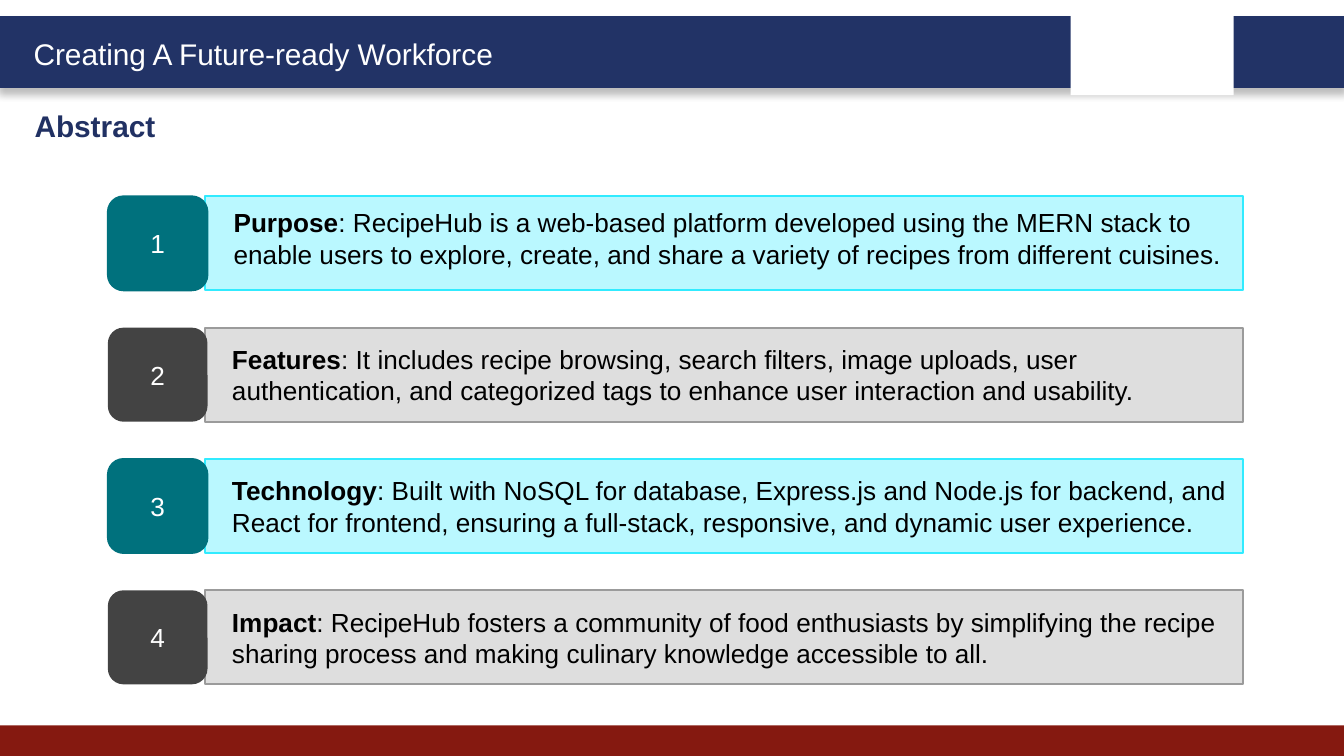
import dataclasses
import typing

import lxml.etree
import pptx
import pptx.dml.color
import pptx.enum.shapes
import pptx.enum.text
import pptx.oxml.ns
import pptx.util

Pt = pptx.util.Pt
Shapes = pptx.enum.shapes.MSO_SHAPE
Anchor = pptx.enum.text.MSO_ANCHOR
Align = pptx.enum.text.PP_ALIGN


@dataclasses.dataclass(frozen=True)
class Theme:
    font: str = "Arial"
    heading_size: float = 16
    body_size: float = 14
    white: str = "FFFFFF"
    black: str = "000000"
    banner: str = "223366"
    heading: str = "213163"
    footer: str = "851910"


@dataclasses.dataclass(frozen=True)
class Palette:
    card: str
    border: str
    badge: str
    badge_border: typing.Optional[str] = None


class Box(typing.NamedTuple):
    left: float
    top: float
    width: float
    height: float


class Topic(typing.NamedTuple):
    label: str
    detail: str
    text_box: typing.Optional[Box] = None


THEME = Theme()
TEAL = Palette("BAF8FF", "31EBFF", "00717D", "00717D")
GRAY = Palette("DEDEDE", "9B9B9B", "434343")
FIRST_TOP, PITCH, CARD_HEIGHT = 105.2, 70.35, 50.4
TOPICS = [
    Topic(
        "Purpose",
        ": RecipeHub is a web-based platform developed using the MERN stack to enable users "
        "to explore, create, and share a variety of recipes from different cuisines.",
        Box(118.1, 107.3, 552.2, 41),
    ),
    Topic(
        "Features",
        ": It includes recipe browsing, search filters, image uploads, user authentication, "
        "and categorized tags to enhance user interaction and usability.",
    ),
    Topic(
        "Technology",
        ": Built with NoSQL for database, Express.js and Node.js for backend, and React for "
        "frontend, ensuring a full-stack, responsive, and dynamic user experience.",
    ),
    Topic(
        "Impact",
        ": RecipeHub fosters a community of food enthusiasts by simplifying the recipe "
        "sharing process and making culinary knowledge accessible to all.",
    ),
]


def rgb(value: str) -> pptx.dml.color.RGBColor:
    return pptx.dml.color.RGBColor.from_string(value)


def style_run(run, size: float, color: str, bold: bool = False) -> None:
    run.font.name = THEME.font
    run.font.size = Pt(size)
    run.font.bold = bold
    run.font.color.rgb = rgb(color)


def add_block(slide, preset, box: Box, fill: str,
              border: typing.Optional[str] = None, border_width: float = 1):
    block = slide.shapes.add_shape(preset, *map(Pt, box))
    block.shadow.inherit = False
    block.fill.solid()
    block.fill.fore_color.rgb = rgb(fill)
    if border:
        block.line.color.rgb = rgb(border)
        block.line.width = Pt(border_width)
    else:
        block.line.fill.background()
    return block


def add_drop_shadow(block) -> None:
    effects = block._element.spPr.find(pptx.oxml.ns.qn("a:effectLst"))
    shadow = lxml.etree.SubElement(
        effects, pptx.oxml.ns.qn("a:outerShdw"),
        blurRad=str(Pt(4)), dist=str(Pt(3)), dir="5400000", algn="t", rotWithShape="0")
    color = lxml.etree.SubElement(shadow, pptx.oxml.ns.qn("a:srgbClr"), val=THEME.black)
    lxml.etree.SubElement(color, pptx.oxml.ns.qn("a:alpha"), val="25000")


def write_heading(heading, words: str, color: str, bold: bool = False) -> None:
    frame = heading.text_frame
    frame.text = words
    frame.word_wrap = True
    frame.vertical_anchor = Anchor.TOP
    frame.paragraphs[0].alignment = Align.LEFT
    style_run(frame.paragraphs[0].runs[0], THEME.heading_size, color, bold)


def write_topic(frame, topic: Topic, indent: float = 0) -> None:
    frame.word_wrap = True
    paragraph = frame.paragraphs[0]
    paragraph.alignment = Align.LEFT
    paragraph._p.get_or_add_pPr().set("marL", str(Pt(indent)))
    for words, bold in ((topic.label, True), (topic.detail, False)):
        run = paragraph.add_run()
        run.text = words
        style_run(run, THEME.body_size, THEME.black, bold)


def add_topic(slide, number: int, topic: Topic) -> None:
    palette = TEAL if number % 2 else GRAY
    top = FIRST_TOP + (number - 1) * PITCH
    card = add_block(slide, Shapes.RECTANGLE, Box(110, top, 556, CARD_HEIGHT),
                     palette.card, palette.border)
    badge = add_block(slide, Shapes.ROUNDED_RECTANGLE, Box(57.8, top, 53.4, CARD_HEIGHT),
                      palette.badge, palette.badge_border)
    badge.text_frame.text = str(number)
    badge.text_frame.vertical_anchor = Anchor.MIDDLE
    badge.text_frame.paragraphs[0].alignment = Align.CENTER
    style_run(badge.text_frame.paragraphs[0].runs[0], THEME.body_size, THEME.white)
    if topic.text_box:
        overlay = slide.shapes.add_textbox(*map(Pt, topic.text_box))
        write_topic(overlay.text_frame, topic)
    else:
        card.text_frame.vertical_anchor = Anchor.MIDDLE
        write_topic(card.text_frame, topic, indent=7.2)


def main() -> None:
    deck = pptx.Presentation()
    deck.slide_width, deck.slide_height = Pt(720), Pt(405)
    slide = deck.slides.add_slide(deck.slide_layouts.get_by_name("Title Only"))

    banner = add_block(slide, Shapes.RECTANGLE, Box(0, 9.4, 720, 36.8),
                       THEME.banner, THEME.banner, 2)
    add_drop_shadow(banner)
    add_block(slide, Shapes.RECTANGLE, Box(0, 388.6, 720, 16.4), THEME.footer)
    add_block(slide, Shapes.RECTANGLE, Box(573.5, 5, 87.4, 46), THEME.white)
    tagline = slide.shapes.add_textbox(Pt(10.9), Pt(15.4), Pt(272), Pt(26.6))
    write_heading(tagline, "Creating A Future-ready Workforce", THEME.white)

    title = slide.shapes.title
    title.left, title.top, title.width, title.height = map(Pt, Box(11.3, 54, 348.5, 26.6))
    write_heading(title, "Abstract", THEME.heading, bold=True)

    for number, topic in enumerate(TOPICS, start=1):
        add_topic(slide, number, topic)

    deck.save("out.pptx")


if __name__ == "__main__":
    main()
